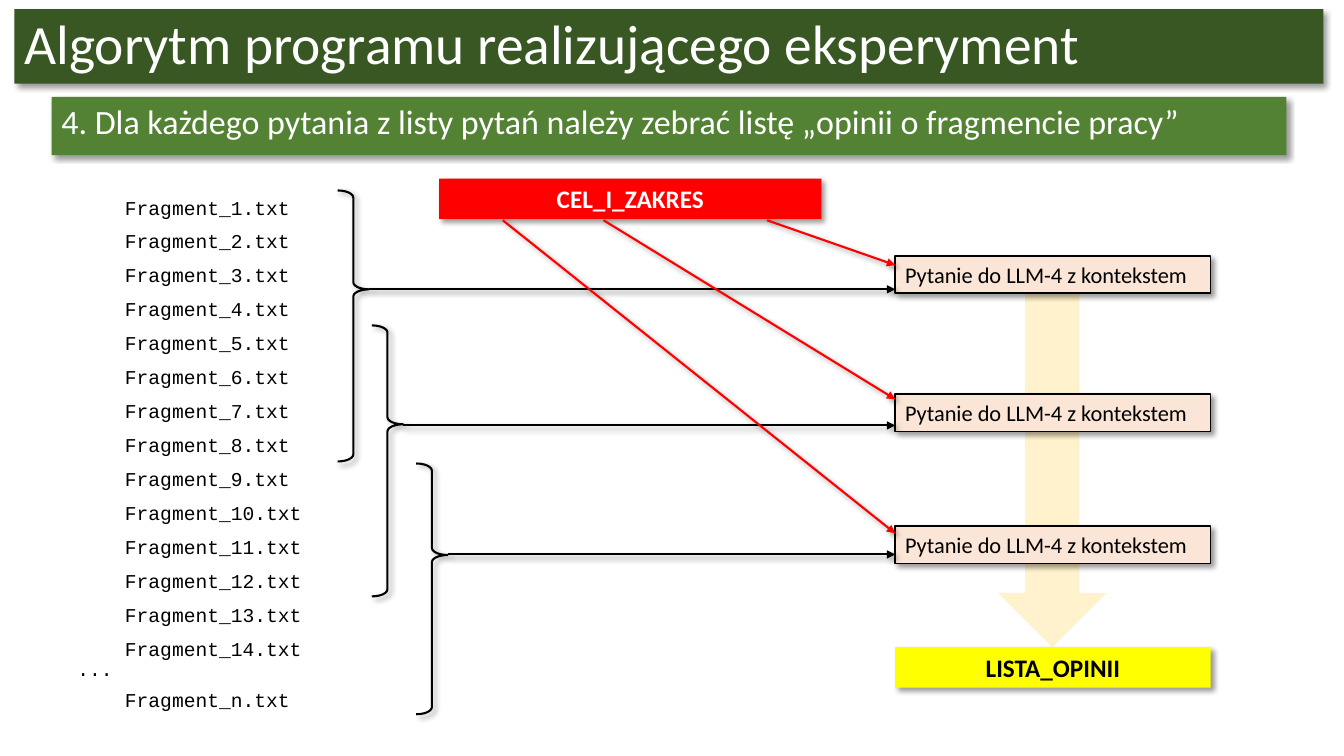
"""Build the slide that shows how opinions on fragments of a thesis are collected."""
from lxml import etree
from pptx import Presentation
from pptx.dml.color import RGBColor
from pptx.enum.shapes import MSO_CONNECTOR, MSO_SHAPE
from pptx.enum.text import MSO_ANCHOR, MSO_AUTO_SIZE, PP_ALIGN
from pptx.oxml import parse_xml
from pptx.oxml.ns import qn
from pptx.util import Cm, Pt

RECTANGLE, BRACE, DOWN_ARROW = MSO_SHAPE.RECTANGLE, MSO_SHAPE.RIGHT_BRACE, MSO_SHAPE.DOWN_ARROW
STRAIGHT = MSO_CONNECTOR.STRAIGHT
TOP, MIDDLE = MSO_ANCHOR.TOP, MSO_ANCHOR.MIDDLE
LEFT, CENTER = PP_ALIGN.LEFT, PP_ALIGN.CENTER
FIXED, GROW = MSO_AUTO_SIZE.NONE, MSO_AUTO_SIZE.SHAPE_TO_FIT_TEXT

BLACK = RGBColor(0x00, 0x00, 0x00)
WHITE = RGBColor(0xFF, 0xFF, 0xFF)
RED = RGBColor(0xFF, 0x00, 0x00)
YELLOW = RGBColor(0xFF, 0xFF, 0x00)
CREAM = RGBColor(0xFF, 0xF2, 0xCC)
PEACH = RGBColor(0xFB, 0xE5, 0xD6)
GREEN = RGBColor(0x54, 0x82, 0x35)
DARK_GREEN = RGBColor(0x38, 0x57, 0x23)

SHADOW = (
    '<a:effectLst xmlns:a="http://schemas.openxmlformats.org/drawingml/2006/main">'
    '<a:outerShdw blurRad="50800" dist="38100" dir="2700000" algn="tl" rotWithShape="0">'
    '<a:srgbClr val="000000"><a:alpha val="40000"/></a:srgbClr>'
    '</a:outerShdw></a:effectLst>'
)

TITLE_FONT = {"name": "Calibri", "size": Pt(39.6)}
STEP_FONT = {"name": "Calibri", "size": Pt(24.3)}
FILE_FONT = {"name": "Courier New", "size": Pt(14)}
QUESTION_FONT = {"name": "Calibri", "size": Pt(16)}
LIST_FONT = {"name": "Calibri", "size": Pt(18), "bold": True}


def write(box, text, font, color, align=LEFT, anchor=TOP, fit=GROW, spacing=1.0):
    frame = box.text_frame
    frame.word_wrap = True
    frame.auto_size = fit
    frame.vertical_anchor = anchor
    para = frame.paragraphs[0]
    para.alignment = align
    para.line_spacing = spacing
    span = para.add_run()
    span.text = text
    for name, value in font.items():
        setattr(span.font, name, value)
    span.font.color.rgb = color


def paint(shape, fill=None, line=None, width=1.5):
    if fill is None:
        shape.fill.background()
    else:
        shape.fill.solid()
        shape.fill.fore_color.rgb = fill
    if line is None:
        shape.line.fill.background()
    else:
        shape.line.color.rgb = line
        shape.line.width = Pt(width)
    shape.shadow.inherit = False


deck = Presentation()
deck.slide_width, deck.slide_height = Cm(33.87), Cm(19.05)
page = deck.slides.add_slide(deck.slide_layouts[5])
shapes = page.shapes
shadowed = []

title = shapes.title
title.left, title.top, title.width, title.height = Cm(0.36), Cm(0.23), Cm(32.99), Cm(1.88)
paint(title, DARK_GREEN)
write(title, "Algorytm programu realizującego eksperyment", TITLE_FONT, WHITE,
      anchor=MIDDLE, fit=FIXED, spacing=0.9)
shadowed.append(title)

flow = shapes.add_shape(DOWN_ARROW, Cm(25.15), Cm(7.39), Cm(2.74), Cm(8.92))
paint(flow, CREAM)
title._element.addprevious(flow._element)

step = shapes.add_shape(RECTANGLE, Cm(1.3), Cm(2.44), Cm(31.12), Cm(1.47))
paint(step, GREEN)
write(step, "4. Dla każdego pytania z listy pytań należy zebrać listę „opinii o fragmencie pracy”",
      STEP_FONT, WHITE, anchor=MIDDLE, fit=FIXED, spacing=0.7)
shadowed.append(step)

files = [(f"Fragment_{number}.txt", 2.9, 4.8 + 0.855 * (number - 1), 5.08)
         for number in range(1, 15)]
files += [("...", 1.7, 16.43, 1.5), ("Fragment_n.txt", 2.9, 17.2, 5.08)]
for text, left, top, width in files:
    box = shapes.add_textbox(Cm(left), Cm(top), Cm(width), Cm(0.86))
    write(box, text, FILE_FONT, BLACK)

arrows = []
for left, top, height, arrow_y in [
    (8.51, 4.8, 6.83, 7.29),
    (9.37, 8.2, 6.83, 10.72),
    (10.49, 11.68, 6.32, 13.97),
]:
    brace = shapes.add_shape(BRACE, Cm(left), Cm(top), Cm(0.79), Cm(height))
    brace.adjustments[0], brace.adjustments[1] = 0.227, 0.365
    paint(brace, line=BLACK)
    shadowed.append(brace)
    arrows.append((left + 0.79, arrow_y, arrow_y, BLACK))

for question_top, start_x, end_y in [
    (6.45, 19.33, 6.68),
    (9.93, 15.21, 10.06),
    (13.26, 12.67, 13.44),
]:
    question = shapes.add_shape(RECTANGLE, Cm(22.56), Cm(question_top), Cm(7.95), Cm(0.94))
    paint(question, PEACH, BLACK, 1)
    write(question, "Pytanie do LLM-4 z kontekstem", QUESTION_FONT, BLACK)
    shadowed.append(question)
    arrows.append((start_x, 5.55, end_y, RED))

for text, left, top, width, fill, color in [
    ("CEL_I_ZAKRES", 11.07, 4.5, 9.63, RED, WHITE),
    ("LISTA_OPINII", 22.56, 16.31, 7.95, YELLOW, BLACK),
]:
    box = shapes.add_shape(RECTANGLE, Cm(left), Cm(top), Cm(width), Cm(1.02))
    paint(box, fill)
    write(box, text, LIST_FONT, color, align=CENTER)
    shadowed.append(box)

for start_x, start_y, end_y, color in arrows:
    arrow = shapes.add_connector(STRAIGHT, Cm(start_x), Cm(start_y), Cm(22.56), Cm(end_y))
    arrow.line.color.rgb = color
    arrow.line.width = Pt(1.5)
    etree.SubElement(arrow.line._get_or_add_ln(), qn("a:tailEnd"), type="triangle")
    shadowed.append(arrow)

for shape in shadowed:
    properties = shape._element.spPr
    for effects in properties.findall(qn("a:effectLst")):
        properties.remove(effects)
    properties.append(parse_xml(SHADOW))

deck.save("out.pptx")
